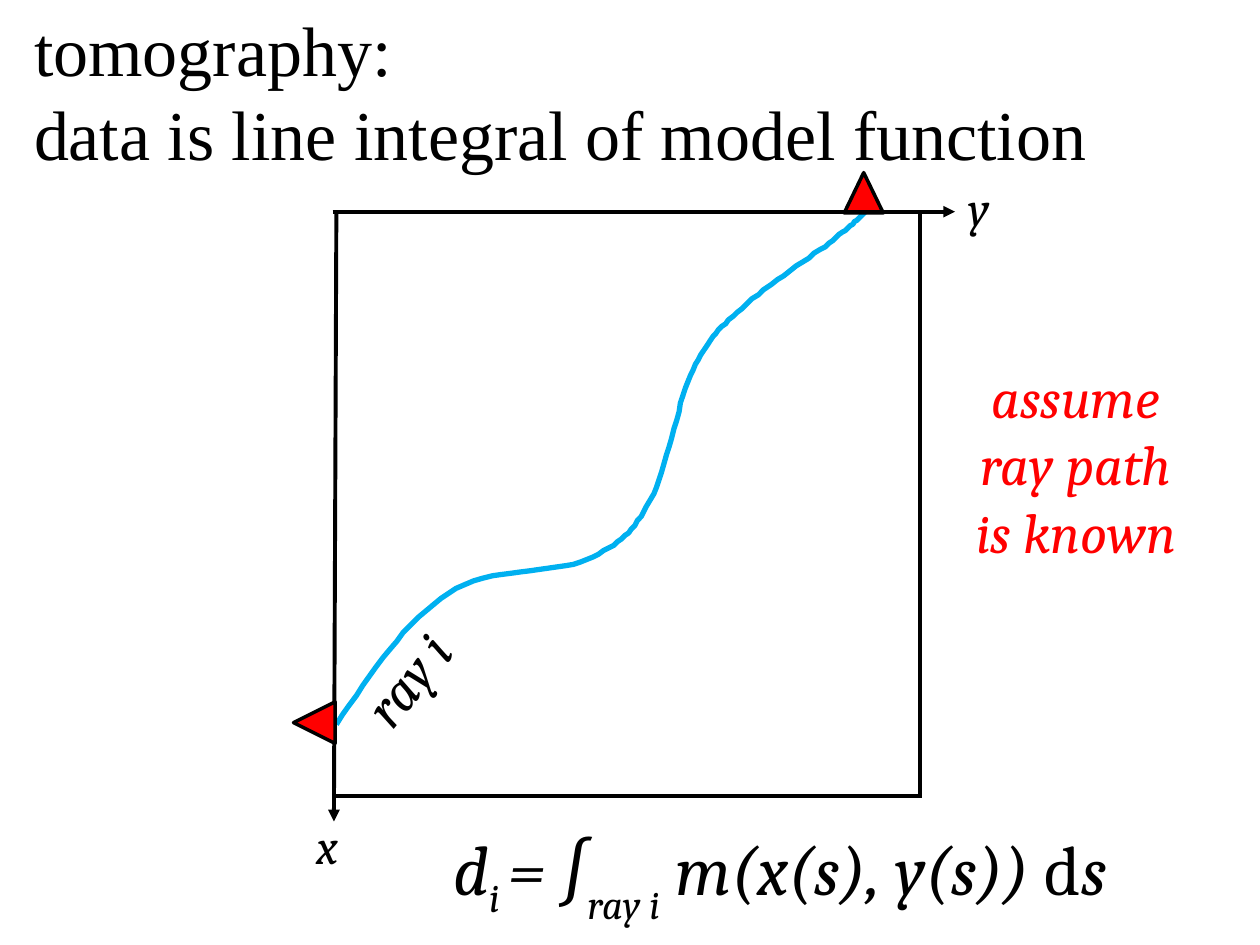
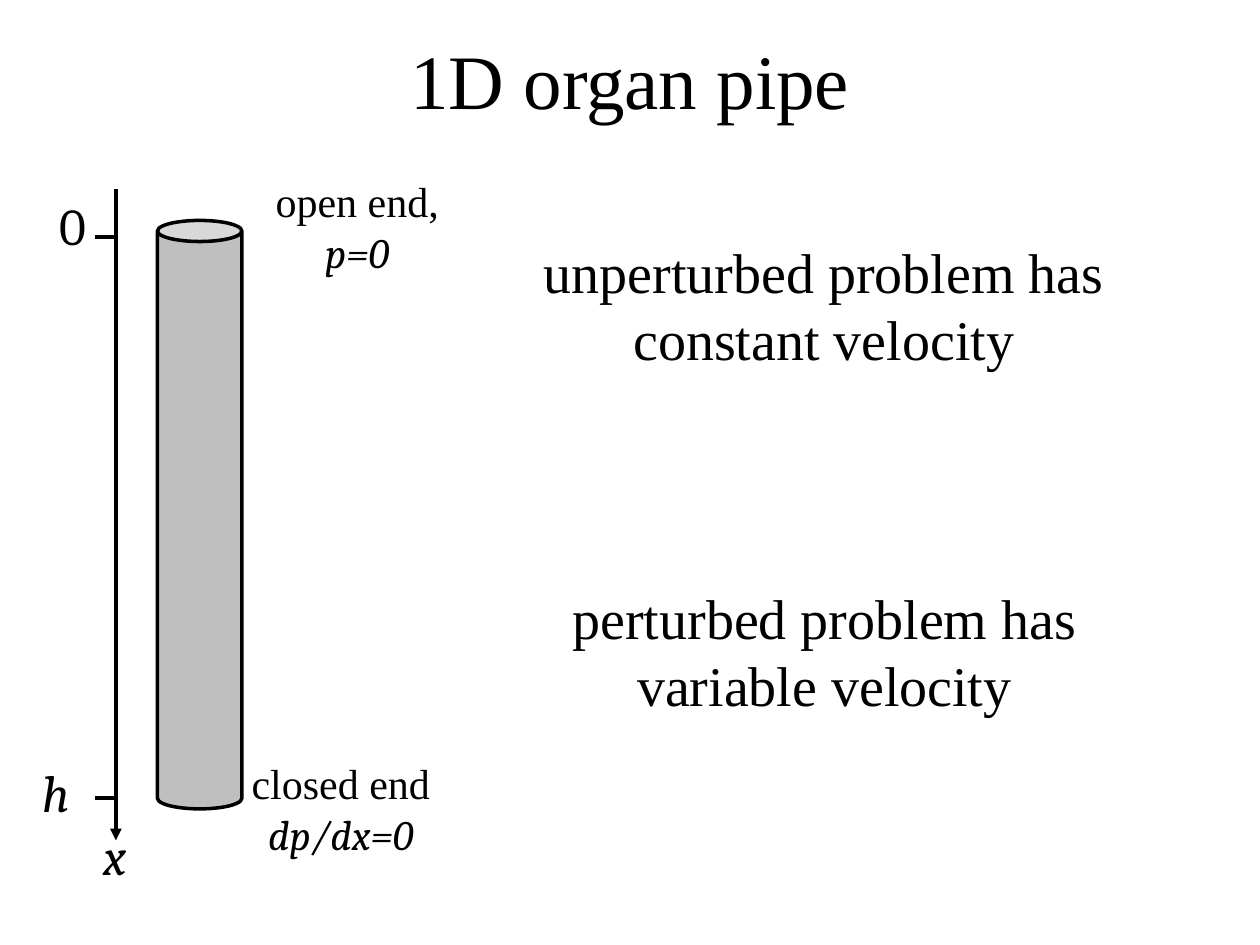
from pptx import Presentation
from pptx.dml.color import RGBColor
from pptx.enum.shapes import MSO_CONNECTOR, MSO_SHAPE
from pptx.enum.text import MSO_ANCHOR, MSO_AUTO_SIZE, PP_ALIGN
from pptx.oxml.ns import qn
from pptx.util import Pt
from lxml import etree

PX = 9144  # 100 px to the inch
STRAIGHT = MSO_CONNECTOR.STRAIGHT
TRIANGLE, CAN = MSO_SHAPE.ISOSCELES_TRIANGLE, MSO_SHAPE.CAN
TOP, MIDDLE = MSO_ANCHOR.TOP, MSO_ANCHOR.MIDDLE
LEFT, CENTER = PP_ALIGN.LEFT, PP_ALIGN.CENTER
NO_AUTOFIT = MSO_AUTO_SIZE.NONE
TITLE_ONLY = 5

COLORS = {"ink": "000000", "red": "FF0000", "ray": "00B0F0", "pipe": "BFBFBF"}
SERIF, MATH = "Times New Roman", "Cambria"
ITALIC, UPRIGHT = {"font": MATH, "italic": True}, {"italic": False}

# Ray from the left station to the top one: start, then Bezier segments
RAY_START = (267, 575)
RAY_SEGMENTS = [
    [(295, 534), (322, 492), (356, 471)],
    [(389, 449), (439, 456), (466, 444)],
    [(493, 432), (502, 422), (516, 397)],
    [(530, 373), (537, 322), (548, 298)],
    [(560, 273), (566, 265), (585, 248)],
    [(603, 230), (641, 206), (658, 193)],
    [(675, 180), (681, 174), (687, 168)],
]


def emu(*lengths):
    return [round(length * PX) for length in lengths]


def rgb(name):
    return RGBColor.from_string(COLORS[name])


def write_text(shape, paragraphs, size=32, font=SERIF, color="ink", italic=False,
               align=LEFT, anchor=TOP, spacing=None):
    """Each paragraph is a string or a list of (text, format changes)."""
    frame = shape.text_frame
    frame.word_wrap = True
    frame.auto_size = NO_AUTOFIT
    frame.vertical_anchor = anchor
    for index, content in enumerate(paragraphs):
        paragraph = frame.add_paragraph() if index else frame.paragraphs[0]
        paragraph.alignment = align
        if spacing:
            paragraph.line_spacing = spacing
        runs = [(content, {})] if isinstance(content, str) else content
        for text, changes in runs:
            run = paragraph.add_run()
            run.text = text
            run.font.size = Pt(size)
            run.font.name = changes.get("font", font)
            run.font.italic = changes.get("italic", italic)
            run.font.color.rgb = rgb(color)
            if "baseline" in changes:
                run.font._element.set("baseline", str(changes["baseline"] * 1000))


def add_text(slide, box, paragraphs, rotation=0, **text_format):
    shape = slide.shapes.add_textbox(*emu(*box))
    shape.rotation = rotation
    write_text(shape, paragraphs, **text_format)


def add_titled_slide(presentation, box, paragraphs, **text_format):
    slide = presentation.slides.add_slide(presentation.slide_layouts[TITLE_ONLY])
    title = slide.shapes.title
    title.left, title.top, title.width, title.height = emu(*box)
    write_text(title, paragraphs, **text_format)
    return slide


def add_line(slide, start, end, arrow=False):
    line = slide.shapes.add_connector(STRAIGHT, *emu(*start, *end))
    line.line.color.rgb = rgb("ink")
    line.line.width = Pt(2.25)
    if arrow:
        etree.SubElement(line.line._get_or_add_ln(), qn("a:tailEnd"), type="triangle")
    etree.SubElement(line._element.spPr, qn("a:effectLst"))


def add_solid(slide, kind, box, fill, rotation=0):
    shape = slide.shapes.add_shape(kind, *emu(*box))
    shape.shadow.inherit = False
    shape.rotation = rotation
    shape.fill.solid()
    shape.fill.fore_color.rgb = rgb(fill)
    shape.line.color.rgb = rgb("ink")
    shape.line.width = Pt(2)


def bezier_points(start, segments, steps=16):
    points = []
    for first, second, end in segments:
        for step in range(1, steps + 1):
            t = step / steps
            u = 1 - t
            points.append(tuple(
                u**3 * a + 3 * u * u * t * b + 3 * u * t * t * c + t**3 * d
                for a, b, c, d in zip(start, first, second, end)))
        start = end
    return points


def add_curve(slide, start, segments, color):
    builder = slide.shapes.build_freeform(*start, scale=PX)
    builder.add_line_segments(bezier_points(start, segments), close=False)
    curve = builder.convert_to_shape()
    curve.shadow.inherit = False
    curve.fill.background()
    curve.line.color.rgb = rgb(color)
    curve.line.width = Pt(3)


def build_tomography(presentation):
    slide = add_titled_slide(
        presentation, (17, 0, 983, 145),
        ["tomography:", "data is line integral of model function"], size=40)

    # Model region, ray and stations
    add_line(slide, (730, 167), (730, 633))
    add_line(slide, (267, 167), (265, 652), arrow=True)
    add_curve(slide, RAY_START, RAY_SEGMENTS, "ray")
    add_solid(slide, TRIANGLE, (233, 557, 33, 33), "red", rotation=270)
    add_solid(slide, TRIANGLE, (670, 137, 31, 32), "red")
    add_line(slide, (264, 168), (758, 168), arrow=True)
    add_line(slide, (265, 632), (732, 632))

    # Integral and labels
    integral = [("d", {}), ("i ", {"baseline": -25}), ("= ∫", {}),
                ("ray i", {"baseline": -35}), (" m(x(s), y(s)) ", {}),
                ("d", UPRIGHT), ("s", {})]
    add_text(slide, (350, 650, 650, 77), [integral], size=40, **ITALIC)
    add_text(slide, (269, 497, 125, 64), ["ray i"], rotation=309.3, **ITALIC)
    add_text(slide, (750, 283, 208, 172), ["assume ray path is known"],
             color="red", align=CENTER, **ITALIC)
    for axis, left, top in [("x", 241, 642), ("y", 759, 136)]:
        add_text(slide, (left, top, 58, 57), [axis], size=28, **ITALIC)


def build_organ_pipe(presentation):
    centered = {"align": CENTER, "anchor": MIDDLE}
    slide = add_titled_slide(presentation, (50, 0, 900, 125), ["1D organ pipe"],
                             size=44, **centered)

    # Pipe and depth axis with its ticks
    add_solid(slide, CAN, (125, 175, 67, 467), "pipe")
    add_line(slide, (92, 150), (92, 667), arrow=True)
    for tick in (188, 633):
        add_line(slide, (75, tick), (92, tick))
    for label, left, top, italic in [("0", 24, 158, False), ("h", 11, 608, True),
                                     ("x", 58, 658, True)]:
        add_text(slide, (left, top, 67, 50), [label], size=29.6, font=MATH,
                 italic=italic, spacing=0.8, **centered)

    # Boundary conditions
    for box, end, condition in [
            ((200, 142, 167, 75), "open end,", "p=0"),
            ((183, 600, 175, 83), "closed end", "dp/dx=0")]:
        add_text(slide, box, [end, [(condition, ITALIC)]], size=24, **centered)

    # The two problems
    for box, problem in [
            ((358, 150, 592, 183), "unperturbed problem has constant velocity"),
            ((392, 425, 525, 183), "perturbed problem has variable velocity")]:
        add_text(slide, box, [problem], **centered)


def main():
    presentation = Presentation()
    presentation.slide_width, presentation.slide_height = emu(1000, 750)
    build_tomography(presentation)
    build_organ_pipe(presentation)
    presentation.save("out.pptx")


if __name__ == "__main__":
    main()
